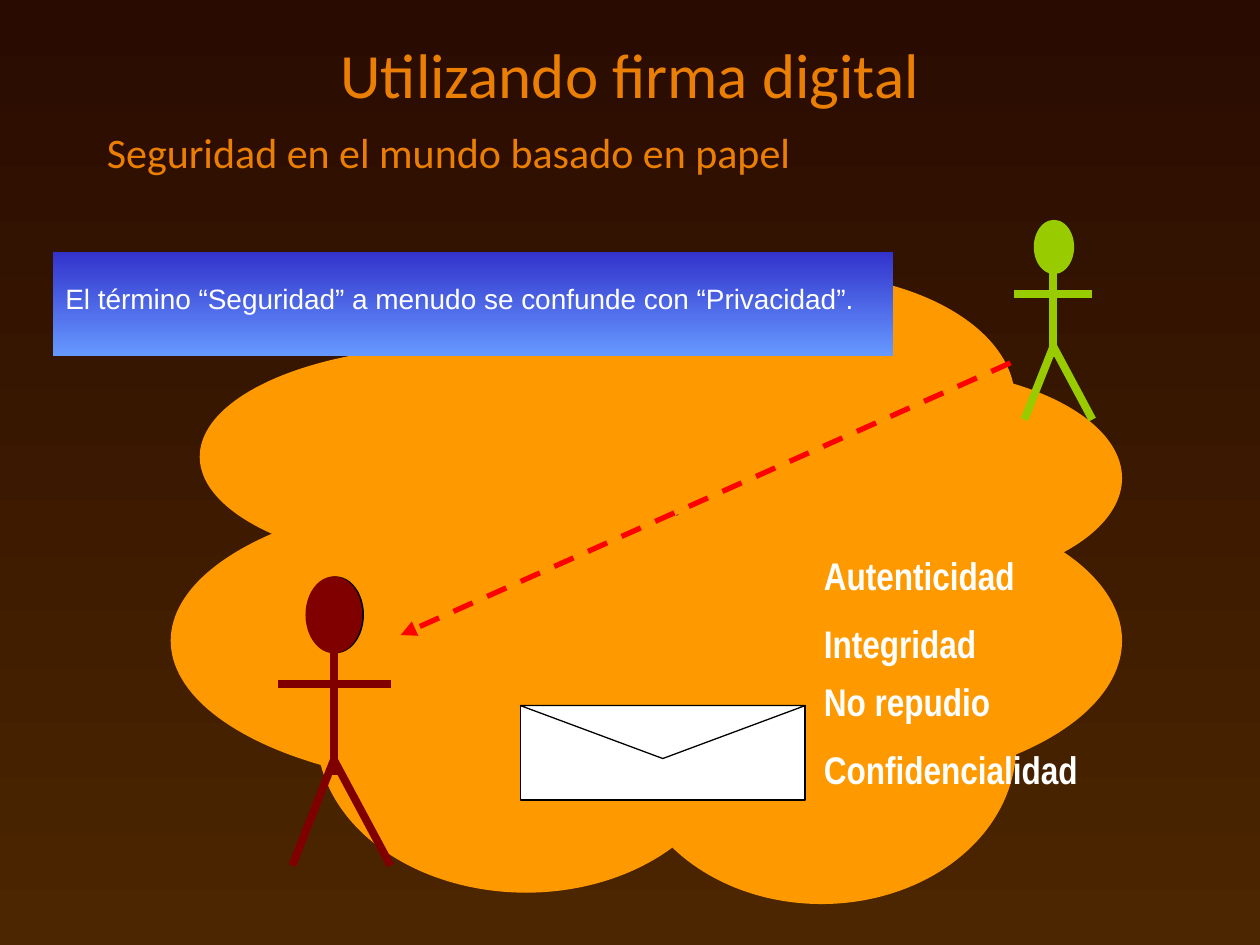
from dataclasses import dataclass

import lxml.etree
import pptx
import pptx.dml.color
import pptx.dml.fill
import pptx.enum.dml
import pptx.enum.shapes
import pptx.enum.text
import pptx.oxml.ns
import pptx.shapes.autoshape
import pptx.shapes.connector
import pptx.shapes.shapetree
import pptx.slide
import pptx.text.text
import pptx.util

Inches = pptx.util.Inches
Pt = pptx.util.Pt
SHAPE = pptx.enum.shapes.MSO_SHAPE
ALIGN = pptx.enum.text.PP_ALIGN
ANCHOR = pptx.enum.text.MSO_ANCHOR
qn = pptx.oxml.ns.qn
Shapes = pptx.shapes.shapetree.SlideShapes | pptx.shapes.shapetree.GroupShapes
Box = tuple[float, float, float, float]

COLORS = {
    "bg_top": "290B01", "bg_bottom": "4C2600", "heading": "EB7F04",
    "cloud": "FF9900", "sender": "99CC00", "receiver": "800000",
    "banner_top": "3333CC", "banner_bottom": "6699FF",
    "white": "FFFFFF", "black": "000000", "arrow": "FF0000",
}


@dataclass
class Figure:
    color: str
    head: Box
    center: float
    neck: float
    body_end: float
    arms: tuple[float, float, float]  # left, right, height
    hip: float
    feet: tuple[float, float, float]  # left, right, height
    head_shadow: bool = False


@dataclass
class Label:
    text: str
    box: Box
    size: float
    font: str
    color: str
    bold: bool = False
    align: ALIGN = ALIGN.LEFT
    anchor: ANCHOR = ANCHOR.TOP
    line_spacing: float = 1.0


def rgb(name: str) -> pptx.dml.color.RGBColor:
    return pptx.dml.color.RGBColor.from_string(COLORS[name])


def fill_gradient(fill: pptx.dml.fill.FillFormat, top: str, bottom: str) -> None:
    fill.gradient()
    fill.gradient_angle = 270
    for stop, name in zip(fill.gradient_stops, (top, bottom)):
        stop.color.rgb = rgb(name)


def add_solid(shapes: Shapes, kind: SHAPE, box: Box, fill: str,
              line: str) -> pptx.shapes.autoshape.Shape:
    sp = shapes.add_shape(kind, *map(Inches, box))
    sp.shadow.inherit = False
    sp.fill.solid()
    sp.fill.fore_color.rgb = rgb(fill)
    sp.line.color.rgb = rgb(line)
    sp.line.width = Pt(0.75)
    return sp


def add_line(shapes: Shapes, start: tuple[float, float], end: tuple[float, float],
             color: str, width: float) -> pptx.shapes.connector.Connector:
    cn = shapes.add_connector(pptx.enum.shapes.MSO_CONNECTOR.STRAIGHT,
                              *map(Inches, start + end))
    cn.line.color.rgb = rgb(color)
    cn.line.width = Pt(width)
    lxml.etree.SubElement(cn._element.spPr, qn("a:effectLst"))
    return cn


def write_label(tf: pptx.text.text.TextFrame, label: Label) -> None:
    tf.word_wrap = True
    tf.vertical_anchor = label.anchor
    p = tf.paragraphs[0]
    p.alignment = label.align
    p.line_spacing = label.line_spacing
    r = p.add_run()
    r.text = label.text
    r.font.name = label.font
    r.font.size = Pt(label.size)
    r.font.bold = label.bold
    r.font.color.rgb = rgb(label.color)


def add_label(shapes: Shapes, label: Label) -> None:
    write_label(shapes.add_textbox(*map(Inches, label.box)).text_frame, label)


def add_figure(shapes: Shapes, fig: Figure) -> None:
    group = shapes.add_group_shape().shapes
    head = add_solid(group, SHAPE.OVAL, fig.head, fig.color, fig.color)
    if fig.head_shadow:
        effects = head._element.spPr.find(qn("a:effectLst"))
        shadow = lxml.etree.SubElement(effects, qn("a:outerShdw"),
                                       dist=str(Pt(1)), dir="0")
        lxml.etree.SubElement(shadow, qn("a:srgbClr"), val=COLORS["black"])
    left_arm, right_arm, arm_y = fig.arms
    left_foot, right_foot, foot_y = fig.feet
    hip = (fig.center, fig.hip)
    for start, end in (
        ((fig.center, fig.neck), (fig.center, fig.body_end)),
        ((left_arm, arm_y), (right_arm, arm_y)),
        ((left_foot, foot_y), hip),
        (hip, (right_foot, foot_y)),
    ):
        add_line(group, start, end, fig.color, 4.5)


CLOUD = (
    (2.82, 2.08, 2.77, 2), (5.29, 2.92, 3.61, 1.75),
    (1.59, 2.75, 4.08, 1.75), (4.29, 3.92, 4.61, 2.33),
    (1.36, 3.92, 5.15, 2.33), (2.52, 4.58, 3.31, 2.5),
    (4.98, 4.67, 3.08, 2.5), (4.59, 2.17, 3.46, 2),
)
SENDER = Figure("sender", (8.21, 1.75, 0.31, 0.42), 8.36, 2, 2.83,
                (8.05, 8.67, 2.33), 2.75, (8.13, 8.67, 3.33))
RECEIVER = Figure("receiver", (2.43, 4.58, 0.44, 0.6), 2.65, 5.17, 6.15,
                  (2.21, 3.1, 5.43), 6.03, (2.32, 3.1, 6.87), head_shadow=True)
PROPERTIES = (("Autenticidad", 4.33), ("Integridad", 4.87),
              ("No repudio", 5.33), ("Confidencialidad", 5.87))
TITLE = Label("Utilizando firma digital", (0.75, 0.25, 8.5, 0.67), 36, "Calibri",
              "heading", align=ALIGN.CENTER, anchor=ANCHOR.MIDDLE)
SUBTITLE = Label("Seguridad en el mundo basado en papel", (0.75, 1, 8.45, 0.67),
                 24, "Calibri", "heading", line_spacing=0.9)
BANNER = Label("El término “Seguridad” a menudo se confunde con “Privacidad”.",
               (0.42, 2, 6.67, 0.83), 16, "Arial", "white",
               align=ALIGN.JUSTIFY, anchor=ANCHOR.MIDDLE, line_spacing=0.5)


def build(slide: pptx.slide.Slide) -> None:
    shapes = slide.shapes
    fill_gradient(slide.background.fill, "bg_top", "bg_bottom")

    # Cloud and the two people
    cloud = shapes.add_group_shape().shapes
    for box in CLOUD:
        add_solid(cloud, SHAPE.OVAL, box, "cloud", "cloud")
    add_figure(shapes, SENDER)
    add_figure(shapes, RECEIVER)

    # Security properties
    for text, top in PROPERTIES:
        add_label(shapes, Label(text, (6.44, top, 2.69, 0.47), 22,
                                "Arial Narrow", "white", bold=True))

    # Headings
    add_label(shapes, SUBTITLE)
    add_label(shapes, TITLE)

    # Envelope with its flap pointing down
    envelope = shapes.add_group_shape().shapes
    add_solid(envelope, SHAPE.RECTANGLE, (4.13, 5.6, 2.26, 0.75), "white", "black")
    flap = add_solid(envelope, SHAPE.ISOSCELES_TRIANGLE, (4.13, 5.6, 2.26, 0.42),
                     "white", "black")
    flap.rotation = 180

    # Banner
    banner = shapes.add_shape(SHAPE.RECTANGLE, *map(Inches, BANNER.box))
    banner.shadow.inherit = False
    banner.line.fill.background()
    fill_gradient(banner.fill, "banner_top", "banner_bottom")
    write_label(banner.text_frame, BANNER)

    # Message arrow
    arrow = add_line(shapes, (8.02, 2.88), (3.18, 5.04), "arrow", 3)
    arrow.line.dash_style = pptx.enum.dml.MSO_LINE.DASH
    lxml.etree.SubElement(arrow.line._get_or_add_ln(), qn("a:tailEnd"), type="triangle")


def main() -> None:
    prs = pptx.Presentation()
    prs.slide_width, prs.slide_height = Inches(10), Inches(7.5)
    build(prs.slides.add_slide(prs.slide_layouts[6]))
    prs.save("out.pptx")


if __name__ == "__main__":
    main()
